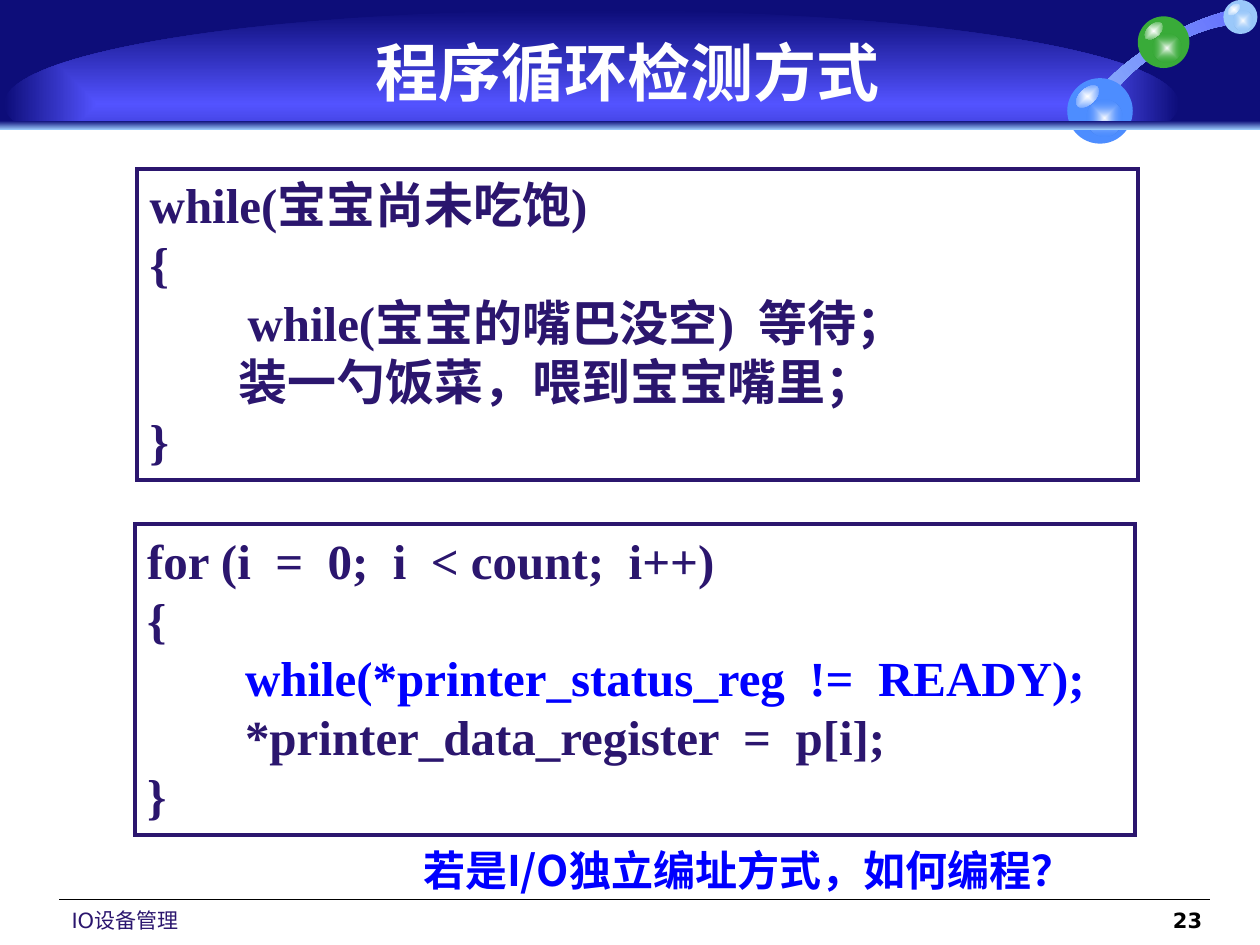
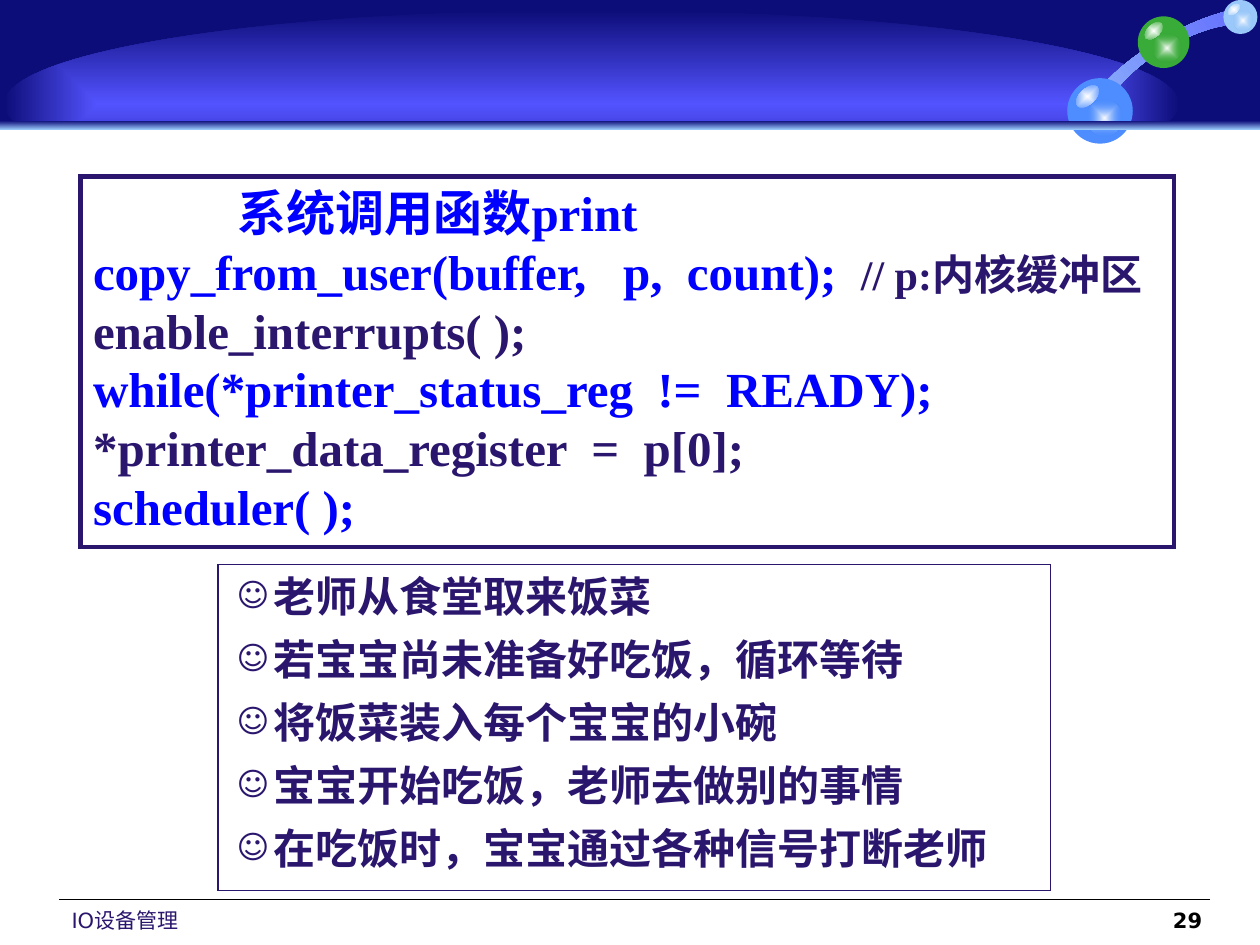
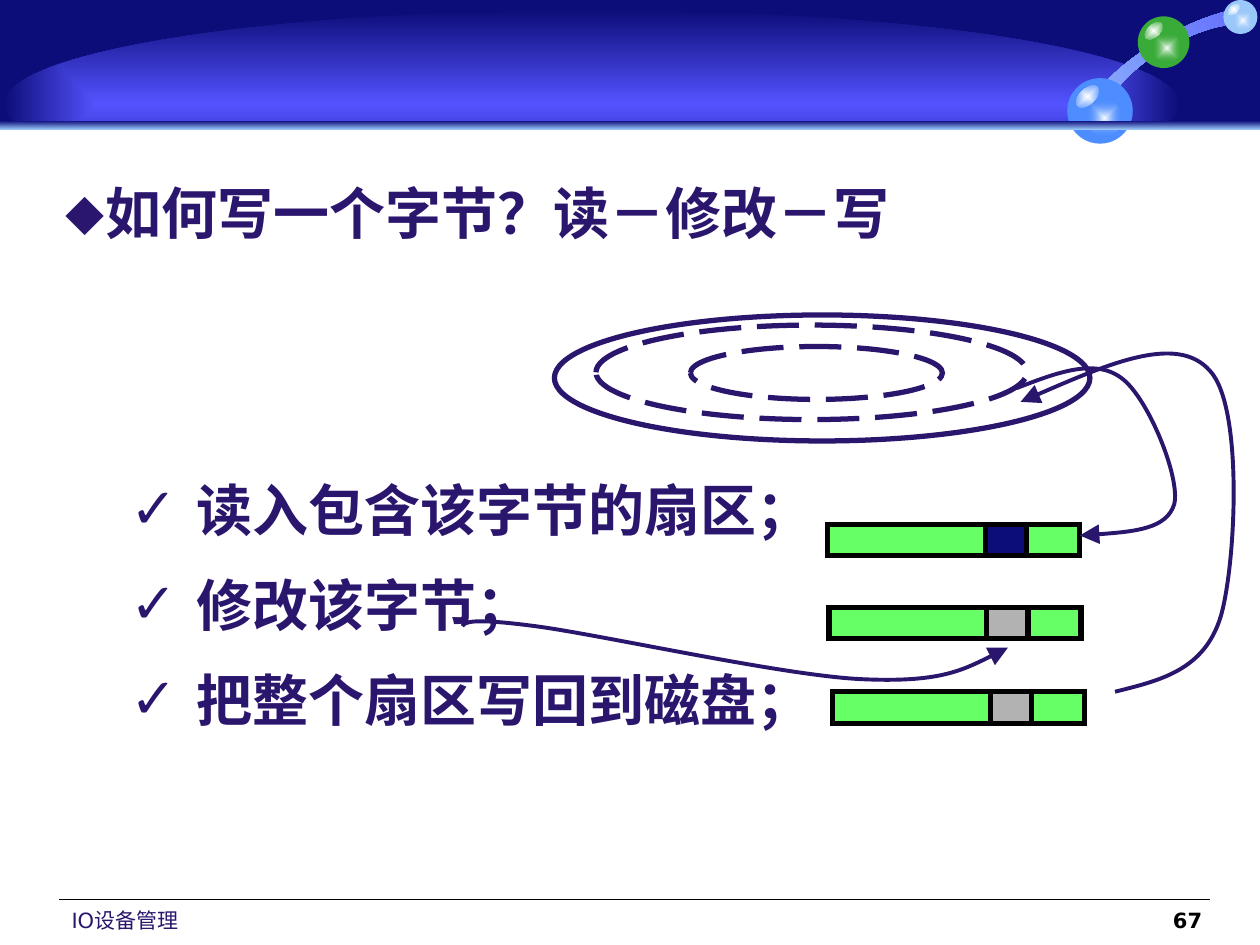
from pptx import Presentation
from pptx.dml.color import RGBColor
from pptx.enum.dml import MSO_LINE
from pptx.enum.shapes import MSO_CONNECTOR, MSO_SHAPE
from pptx.enum.text import MSO_ANCHOR, PP_ALIGN
from pptx.oxml.ns import qn
from pptx.util import Inches, Pt
from lxml.etree import SubElement

INK = {
    "navy": "0D0D79", "glow": "5353FF", "sky": "9AC8FA", "blue": "4D8DFF",
    "green": "39AB39", "white": "FFFFFF", "black": "000000", "text": "2B166E",
    "key": "0000FF", "lime": "66FF66", "grey": "B2B2B2",
}
SERIF, SANS, HAN = "Times New Roman", "DejaVu Sans", "Noto Sans CJK SC"
RECT, OVAL = MSO_SHAPE.RECTANGLE, MSO_SHAPE.OVAL


def dress(shape, fill=None, line=None, width=1, dash=None, tip=False):
    """Style a shape; fill is a colour or (start, end, angle).

    Without an angle the gradient runs out from the centre;
    the angle "fade" also makes its end transparent.
    A tip turns the outline's line pieces, three by three, into Bezier curves.
    """
    shape.shadow.inherit = False
    shape.text_frame.word_wrap = True
    shape.text_frame.vertical_anchor = MSO_ANCHOR.TOP
    if fill is None:
        shape.fill.background()
    elif isinstance(fill, str):
        shape.fill.solid()
        shape.fill.fore_color.rgb = RGBColor.from_string(INK[fill])
    else:
        *ends, angle = fill
        shape.fill.gradient()
        for stop, name in zip(shape.fill.gradient_stops, ends):
            stop.color.rgb = RGBColor.from_string(INK[name])
        grad = shape._element.spPr.find(qn("a:gradFill"))
        if angle in (None, "fade"):
            grad.remove(grad.find(qn("a:lin")))
            path = SubElement(grad, qn("a:path"), path="shape")
            SubElement(path, qn("a:fillToRect"), dict.fromkeys("ltrb", "50000"))
        else:
            shape.fill.gradient_angle = angle
        if angle == "fade":
            last = grad.findall(".//" + qn("a:srgbClr"))[-1]
            SubElement(last, qn("a:alpha"), val="0")
    if line is None:
        shape.line.fill.background()
    else:
        shape.line.color.rgb = RGBColor.from_string(INK[line])
        shape.line.width = Pt(width)
        if dash:
            shape.line.dash_style = dash
        edge = shape.line._get_or_add_ln()
        if tip:
            SubElement(edge, qn("a:round"))
            SubElement(edge, qn("a:tailEnd"), type="triangle", w="lg", len="lg")
        else:
            SubElement(edge, qn("a:miter"), lim="800000")
    return shape


def write(frame, runs, size, face=SERIF, bold=True, align=PP_ALIGN.LEFT,
          before=0, mark=None, scale=100, left=0, first=0, level=0):
    """Add one paragraph of (text, colour[, size]) runs."""
    par = frame.add_paragraph() if frame.text else frame.paragraphs[0]
    prop = par._p.get_or_add_pPr()
    prop.set("marL", str(Inches(left)))
    prop.set("indent", str(Inches(first)))
    if mark:
        tint = SubElement(prop, qn("a:buClr"))
        SubElement(tint, qn("a:srgbClr"), val=INK["text"])
        SubElement(prop, qn("a:buSzPct"), val=str(scale * 1000))
        SubElement(prop, qn("a:buFont"), typeface=SANS)
        SubElement(prop, qn("a:buChar"), char=mark)
    look = {"alignment": align, "level": level,
            "line_spacing": Pt(size * 1.2), "space_before": Pt(before)}
    for key, val in look.items():
        setattr(par, key, val)
    for text, tone, *own in runs:
        for i, part in enumerate(text.split("\n")):
            if i:
                par.add_line_break()
            if not part:
                continue
            run = par.add_run()
            run.text = part
            form = {"name": face, "size": Pt(own[0] if own else size), "bold": bold}
            for key, val in form.items():
                setattr(run.font, key, val)
            run.font.color.rgb = RGBColor.from_string(INK[tone])
            east = SubElement(run._r.rPr, qn("a:ea"), typeface=HAN)
            run._r.rPr.find(qn("a:latin")).addnext(east)


deck = Presentation()
deck.slide_width, deck.slide_height = Inches(10), Inches(7.5)
slides = [deck.slides.add_slide(deck.slide_layouts[6]) for page in range(3)]
poll, call, disk = slides

# Bezier chains: a start, then two controls and an end for each piece
outer = [(1.45, .17), (1.31, .11), (1.13, .09), (.94, .08),
         (.75, .08), (.57, .11), (.43, .17)]
inner = [(.3, .1), (.48, .03), (.7, 0), (.94, 0), (1.18, 0), (1.41, .04), (1.58, .1)]
arrows = [
    [(8.07, 3.08), (8.38, 2.96), (8.69, 2.84), (8.9, 3),
     (9.11, 3.15), (9.37, 3.79), (9.32, 4),
     (9.26, 4.2), (8.91, 4.23), (8.57, 4.25)],
    [(3.67, 4.97), (3.69, 4.94), (3.72, 4.9), (4.25, 4.97),
     (4.78, 5.04), (6.21, 5.36), (6.83, 5.39),
     (7.46, 5.42), (7.73, 5.28), (8, 5.14)],
    [(8.85, 5.49), (9.21, 5.4), (9.56, 5.32), (9.69, 4.89),
     (9.81, 4.47), (9.87, 3.22), (9.6, 2.94),
     (9.34, 2.65), (8.72, 2.92), (8.1, 3.19)],
]

# Header, footer and page number of every slide
backs = [
    (RECT, (0, 0, 10, 1), "navy"),
    (OVAL, (.03, .08, 9.33, 1.49), ("glow", "navy", None)),
    (RECT, (0, .99, 10, 5.86), "white"),
]
balls = [(9.03, .13, .41, "green"), (8.47, .62, .52, "blue"), (9.71, 0, .27, "sky")]
for slide, page in zip(slides, ("23", "29", "67")):
    shapes = slide.shapes
    for kind, box, fill in backs:
        dress(shapes.add_shape(kind, *map(Inches, box)), fill)

    # The arc fills only the top of its tilted frame
    nodes = [tuple(map(Inches, node)) for node in outer + inner]
    pen = shapes.build_freeform(*nodes[0])
    pen.add_line_segments(nodes[1:], close=True)
    arc = dress(pen.convert_to_shape(), ("sky", "glow", 0))
    frame = dict(zip(("left", "top", "width", "height"),
                     map(Inches, (8.47, .26, 1.89, .83))))
    for key, val in frame.items():
        setattr(arc, key, val)
    arc.rotation = 328.8
    track = arc._element.find(".//" + qn("a:pathLst"))[0]
    track.set("w", str(frame["width"]))
    track.set("h", str(frame["height"]))
    for point, (x, y) in zip(track.iter(qn("a:pt")), nodes):
        point.set("x", str(x))
        point.set("y", str(y))
    pieces = track.findall(qn("a:lnTo"))
    for i in (0, 3, 7, 10):
        bend = SubElement(track, qn("a:cubicBezTo"))
        pieces[i].addprevious(bend)
        for piece in pieces[i:i + 3]:
            bend.append(piece[0])
            track.remove(piece)

    for x, y, d, tone in balls:
        layers = [
            ((x, y, d, d), 0, tone),
            ((x + .29 * d, y + .33 * d, .56 * d, .56 * d), 0, ("white", tone, "fade")),
            ((x + .1 * d, y + .16 * d, .42 * d, .24 * d), 317.2, ("white", tone, None)),
        ]
        for box, turn, fill in layers:
            disc = dress(shapes.add_shape(OVAL, *map(Inches, box)), fill)
            disc.rotation = turn
    dress(shapes.add_shape(RECT, *map(Inches, (0, .96, 10, .07))), ("navy", "sky", 270))
    rule = shapes.add_connector(MSO_CONNECTOR.STRAIGHT,
                                *map(Inches, (.47, 7.14, 9.6, 7.14)))
    rule.line.color.rgb = RGBColor.from_string(INK["black"])
    rule.line.width = Pt(.75)
    SubElement(rule._element.spPr, qn("a:effectLst"))
    foot = dress(shapes.add_textbox(*map(Inches, (.47, 7.15, 3.17, .33))))
    write(foot.text_frame, [("IO设备管理", "text")], 12, SANS, bold=False)
    count = dress(shapes.add_textbox(*map(Inches, (7.31, 7.15, 2.33, .33))))
    write(count.text_frame, [(page, "black")], 12, SANS, align=PP_ALIGN.RIGHT)

# Framed code on the first two slides
codes = [
    (poll, (1.07, 4.16, 7.94, 2.47), [
        [("for (i  =  0;  i  < count;  i++)\n{", "text")],
        [("        while(*printer_status_reg  !=  READY);", "key")],
        [("        *printer_data_register  =  p[i];\n}", "text")],
    ]),
    (poll, (1.09, 1.34, 7.94, 2.47), [
        [("while(宝宝尚未吃饱)\n{", "text")],
        [("        while(宝宝的嘴巴没空)  等待；", "text")],
        [("        装一勺饭菜，喂到宝宝嘴里；\n}", "text")],
    ]),
    (call, (.64, 1.4, 8.68, 2.94), [
        [("系统调用函数print", "key")],
        [("copy_from_user(buffer,   p,  count);  ", "key"), ("// p:内核缓冲区", "text", 24)],
        [("enable_interrupts( );", "text")],
        [("while(*printer_status_reg  !=  READY);\n", "key"),
         ("*printer_data_register  =  p[0];", "text")],
        [("scheduler( );", "key")],
    ]),
]
for slide, box, lines in codes:
    frame = dress(slide.shapes.add_shape(RECT, *map(Inches, box)),
                  line="text", width=2.5).text_frame
    for i, runs in enumerate(lines):
        write(frame, runs, 28, first=1.15 if slide is call and i == 0 else 0)

# Slide 1: title and question
title = dress(poll.shapes.add_textbox(*map(Inches, (.3, .22, 9.36, .7)))).text_frame
title.vertical_anchor = MSO_ANCHOR.MIDDLE
write(title, [("程序循环检测方式", "white")], 36, HAN, align=PP_ALIGN.CENTER)
ask = dress(poll.shapes.add_textbox(*map(Inches, (3.26, 6.65, 5.77, .5)))).text_frame
write(ask, [("若是I/O独立编址方式，如何编程？", "key")], 24, HAN)

# Slide 2: the feeding story
story = dress(call.shapes.add_shape(RECT, *map(Inches, (1.73, 4.48, 6.61, 2.59))),
              line="text", width=.75).text_frame
for i, text in enumerate((
        "老师从食堂取来饭菜", "若宝宝尚未准备好吃饭，循环等待", "将饭菜装入每个宝宝的小碗",
        "宝宝开始吃饭，老师去做别的事情", "在吃饭时，宝宝通过各种信号打断老师")):
    write(story, [(text, "text")], 24, HAN, before=7.2 if i else 0,
          mark="☺", scale=75, left=.34, first=-.29)

# Slide 3: disk tracks, sector buffers, arrows and steps
tracks = [((4.4, 2.5, 4.25, 1), None),
          ((5.48, 2.75, 2, .42), MSO_LINE.LONG_DASH),
          ((4.73, 2.58, 3.42, .75), MSO_LINE.LONG_DASH)]
for box, dash in tracks:
    dress(disk.shapes.add_shape(OVAL, *map(Inches, box)), line="text", width=3, dash=dash)
for x, y, byte in ((6.57, 4.16, "navy"), (6.58, 4.82, "grey"), (6.61, 5.49, "grey")):
    for left, wide, fill in ((x, 2, "lime"), (x + 1.25, .33, byte)):
        dress(disk.shapes.add_shape(RECT, *map(Inches, (left, y, wide, .25))),
              fill, "black", 3)
for chain in arrows:
    nodes = [tuple(map(Inches, node)) for node in chain]
    pen = disk.shapes.build_freeform(*nodes[0])
    pen.add_line_segments(nodes[1:], close=False)
    arrow = dress(pen.convert_to_shape(), line="text", width=2.25, tip=True)
    track = arrow._element.find(".//" + qn("a:pathLst"))[0]
    pieces = track.findall(qn("a:lnTo"))
    for i in range(0, len(pieces), 3):
        bend = SubElement(track, qn("a:cubicBezTo"))
        for piece in pieces[i:i + 3]:
            bend.append(piece[0])
            track.remove(piece)
steps = dress(disk.shapes.add_textbox(*map(Inches, (.42, 1.37, 9.15, 4.63)))).text_frame
write(steps, [("如何写一个字节？读－修改－写", "text")], 32, mark="⬥", left=.32, first=-.32)
for text, gap in (("读入包含该字节的扇区；", 131.2), ("修改该字节；", 16),
                  ("把整个扇区写回到磁盘；", 16)):
    write(steps, [(text, "text")], 32, before=gap, mark="✓",
          left=1.04, first=-.52, level=1)

deck.save("out.pptx")
